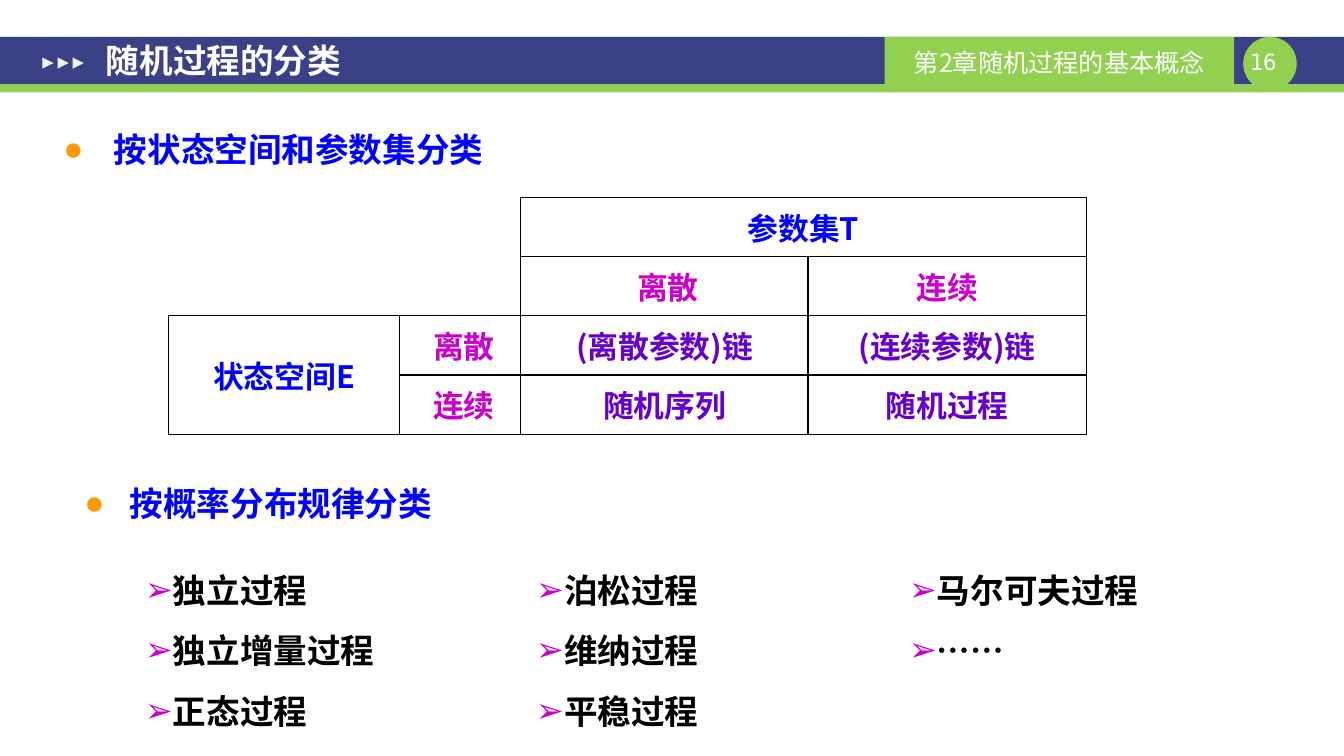
from dataclasses import dataclass
from typing import Optional

from lxml.etree import SubElement
from pptx import Presentation
from pptx.dml.color import RGBColor
from pptx.enum.shapes import MSO_SHAPE
from pptx.enum.text import MSO_ANCHOR, MSO_AUTO_SIZE, PP_ALIGN
from pptx.oxml.ns import qn
from pptx.util import Cm, Pt

CJK_FONT = "Noto Sans CJK SC"
NAVY, GREEN, WHITE, BLACK = "3A4187", "92D050", "FFFFFF", "000000"
BLUE, MAGENTA, PURPLE, ORANGE = "0000FF", "CC00CC", "6600CC", "FF9900"


@dataclass
class Box:
    left: float
    top: float
    width: float
    height: float

    def lengths(self) -> tuple:
        return Cm(self.left), Cm(self.top), Cm(self.width), Cm(self.height)


@dataclass
class Style:
    size: float
    color: str
    bold: bool = True
    font: str = CJK_FONT
    align: PP_ALIGN = PP_ALIGN.JUSTIFY
    line_spacing: Optional[float] = None
    space_before: float = 0


@dataclass
class Bullet:
    symbol: str
    color: str
    indent: float = 0


@dataclass
class ProcessList:
    left: float
    width: float
    names: list


@dataclass
class Entry:
    row: int
    column: int
    text: str
    color: str


def color(value: str) -> RGBColor:
    return RGBColor.from_string(value)


def add_block(page, kind: MSO_SHAPE, box: Box, fill: str):
    block = page.shapes.add_shape(kind, *box.lengths())
    block.shadow.inherit = False
    block.fill.solid()
    block.fill.fore_color.rgb = color(fill)
    block.line.fill.background()
    return block


def add_bullet(para, bullet: Bullet) -> None:
    properties = para._p.get_or_add_pPr()
    properties.set("marL", str(Cm(bullet.indent)))
    properties.set("indent", str(-Cm(bullet.indent)))
    bullet_color = SubElement(properties, qn("a:buClr"))
    SubElement(bullet_color, qn("a:srgbClr"), val=bullet.color)
    SubElement(properties, qn("a:buFont"), typeface="Arial")
    SubElement(properties, qn("a:buChar"), char=bullet.symbol)


def write(frame, lines: list, style: Style, bullet: Optional[Bullet] = None) -> None:
    for index, line in enumerate(lines):
        para = frame.add_paragraph() if index else frame.paragraphs[0]
        para.alignment = style.align
        para.line_spacing = style.line_spacing
        para.space_before = Pt(style.space_before)
        span = para.add_run()
        span.text = line
        span.font.size = Pt(style.size)
        span.font.bold = style.bold
        span.font.name = style.font
        span.font.color.rgb = color(style.color)
        SubElement(span._r.get_or_add_rPr(), qn("a:ea"), typeface=CJK_FONT)
        if bullet:
            add_bullet(para, bullet)


def set_margins(target, horizontal: float, vertical: float) -> None:
    target.margin_left = target.margin_right = Cm(horizontal)
    target.margin_top = target.margin_bottom = Cm(vertical)


def add_text(page, box: Box, margins: tuple, lines: list, style: Style,
             bullet: Optional[Bullet] = None) -> None:
    frame = page.shapes.add_textbox(*box.lengths()).text_frame
    frame.word_wrap = True
    set_margins(frame, *margins)
    write(frame, lines, style, bullet)


def fill_placeholder(holder, box: Box, anchor: MSO_ANCHOR, text: str, style: Style,
                     bullet: Optional[Bullet] = None) -> None:
    holder.left, holder.top, holder.width, holder.height = box.lengths()
    frame = holder.text_frame
    frame.auto_size = MSO_AUTO_SIZE.NONE
    frame.vertical_anchor = anchor
    set_margins(frame, 0.33, 0.18)
    write(frame, [text], style, bullet)
    # Bring the text in front of the header band
    holder.element.getparent().append(holder.element)


def set_borders(cell, visible_sides: str) -> None:
    properties = cell._tc.get_or_add_tcPr()
    for position, side in enumerate("LRTB"):
        line = SubElement(properties, qn(f"a:ln{side}"), w=str(Pt(1)))
        if side in visible_sides:
            fill = SubElement(line, qn("a:solidFill"))
            SubElement(fill, qn("a:srgbClr"), val=BLACK)
        else:
            SubElement(line, qn("a:noFill"))
        properties.insert(position, line)


def add_header(page) -> None:
    add_block(page, MSO_SHAPE.RECTANGLE, Box(0, 0.93, 33.88, 1.2), NAVY)
    add_block(page, MSO_SHAPE.RECTANGLE, Box(0, 2.13, 33.88, 0.2), GREEN)
    add_block(page, MSO_SHAPE.OVAL, Box(31.34, 0.93, 1.35, 1.35), GREEN)
    number_style = Style(16, WHITE, False, "DejaVu Sans Mono", PP_ALIGN.CENTER)
    add_text(page, Box(31.34, 1.22, 1.35, 0.69), (0, 0), ["16 "], number_style)
    chapter = add_block(page, MSO_SHAPE.RECTANGLE, Box(22.3, 0.93, 8.81, 1.2), GREEN)
    frame = chapter.text_frame
    frame.vertical_anchor = MSO_ANCHOR.MIDDLE
    set_margins(frame, 0.25, 0)
    frame.margin_top = Cm(0.1)
    write(frame, ["第2章随机过程的基本概念"], Style(18, WHITE, False, align=PP_ALIGN.CENTER))
    for index in range(3):
        arrow_box = Box(1.07 + 0.38 * index, 1.45, 0.28, 0.28)
        add_block(page, MSO_SHAPE.ISOSCELES_TRIANGLE, arrow_box, "F2F2F2").rotation = 90


def add_state_table(page) -> None:
    widths, row_height = [5.84, 3.05, 7.24, 7.01], 1.49
    box = Box(4.24, 4.98, sum(widths), 4 * row_height)
    table = page.shapes.add_table(4, 4, *box.lengths()).table
    table.first_row = table.horz_banding = False
    for column, width in zip(table.columns, widths):
        column.width = Cm(width)
    for row_index, row in enumerate(table.rows):
        row.height = Cm(row_height)
        for column_index, cell in enumerate(row.cells):
            cell.fill.background()
            cell.vertical_anchor = MSO_ANCHOR.MIDDLE
            set_margins(cell, 0, 0.15)
            in_corner = row_index < 2 and column_index < 2
            set_borders(cell, "RB" if in_corner else "LRTB")
    for first, last in [((0, 0), (1, 1)), ((0, 2), (0, 3)), ((2, 0), (3, 0))]:
        table.cell(*first).merge(table.cell(*last))
    entries = [
        Entry(0, 2, "参数集T", BLUE), Entry(2, 0, "状态空间E", BLUE),
        Entry(1, 2, " 离散", MAGENTA), Entry(1, 3, "连续", MAGENTA),
        Entry(2, 1, " 离散", MAGENTA), Entry(3, 1, " 连续", MAGENTA),
        Entry(2, 2, "(离散参数)链", PURPLE), Entry(2, 3, "(连续参数)链", PURPLE),
        Entry(3, 2, "随机序列", PURPLE), Entry(3, 3, "随机过程", PURPLE),
    ]
    for entry in entries:
        frame = table.cell(entry.row, entry.column).text_frame
        write(frame, [entry.text], Style(22, entry.color, align=PP_ALIGN.CENTER))


def main() -> None:
    deck = Presentation()
    deck.slide_width, deck.slide_height = Cm(33.88), Cm(19.05)
    page = deck.slides.add_slide(deck.slide_layouts[1])

    # Header band and title
    add_header(page)
    fill_placeholder(page.shapes.title, Box(2.34, 0.66, 27.66, 1.7), MSO_ANCHOR.MIDDLE,
                     "随机过程的分类", Style(24, WHITE, font="Arial", align=PP_ALIGN.LEFT))

    # Classification by state space and parameter set
    fill_placeholder(page.placeholders[1], Box(1.27, 2.97, 20.93, 1.5), MSO_ANCHOR.TOP,
                     "按状态空间和参数集分类",
                     Style(24, BLUE, line_spacing=1.1, space_before=4.8),
                     Bullet("●", ORANGE, 1.27))
    add_state_table(page)

    # Classification by probability distribution
    add_text(page, Box(2.13, 12.07, 21.67, 1.04), (0, 0), [" 按概率分布规律分类"],
             Style(24, BLUE, line_spacing=1.1), Bullet("●", ORANGE, 0.95))
    process_lists = [
        ProcessList(3.4, 8.8, ["独立过程", "独立增量过程", "正态过程"]),
        ProcessList(13.26, 8.6, ["泊松过程", "维纳过程", "平稳过程"]),
        ProcessList(22.66, 8.6, ["马尔可夫过程", "……"]),
    ]
    for group in process_lists:
        box = Box(group.left, 13.72, group.width, 0.11 + 1.52 * len(group.names))
        add_text(page, box, (0.25, 0.13), group.names,
                 Style(24, BLACK, line_spacing=1.5), Bullet("➢", MAGENTA))

    deck.save("out.pptx")


if __name__ == "__main__":
    main()
